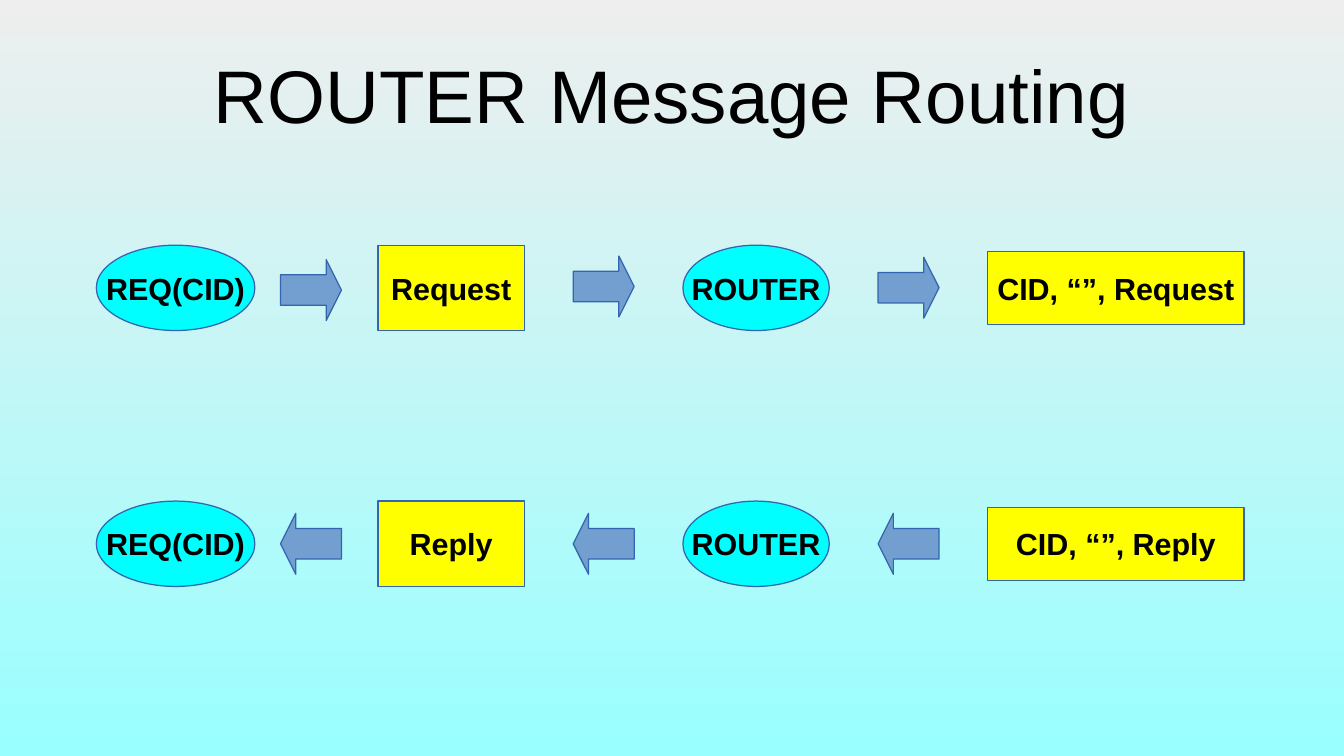
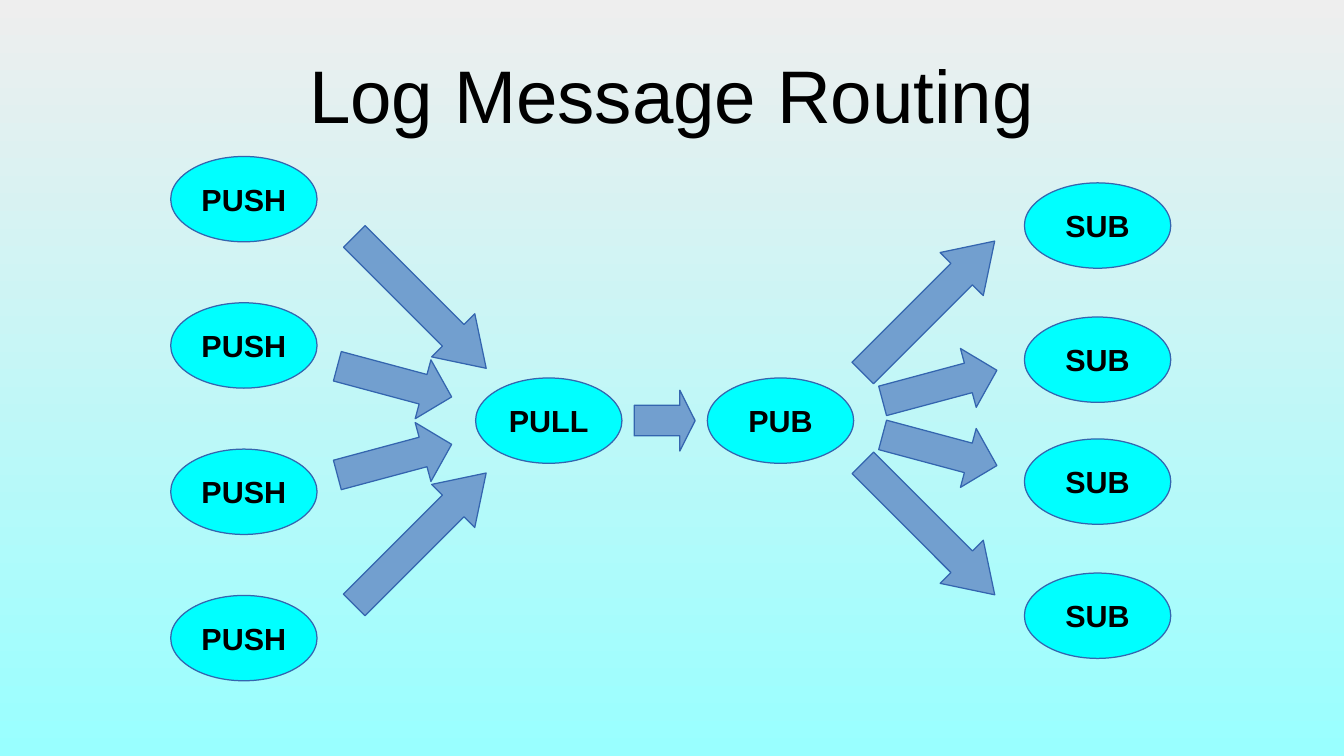
from dataclasses import dataclass

import pptx
import pptx.dml.color
import pptx.enum.shapes
import pptx.enum.text
import pptx.util

COLORS = {
    "sky_top": "EEEEEE",
    "sky_bottom": "99FFFF",
    "socket": "00FFFF",
    "message": "FFFF00",
    "arrow": "729FCF",
    "outline": "3465AF",
    "text": "000000",
}
FONT = "Arial"
SLIDE_W, SLIDE_H = 793.44, 446.4
NODE_W, NODE_H = 86.4, 50.4
CLIENT_W = 93.6
FRAMES_W, FRAMES_H = 151.2, 43.2
ARROW_H = 36
SHORT, MEDIUM, LONG = 36, 69.84, 110.16
SHAPES = pptx.enum.shapes.MSO_SHAPE


@dataclass
class Node:
    text: str
    cx: float
    cy: float
    kind: str = "socket"
    width: float = NODE_W
    height: float = NODE_H


@dataclass
class Arrow:
    cx: float
    cy: float
    length: float = SHORT
    rotation: float = 0


def rgb(name: str) -> pptx.dml.color.RGBColor:
    return pptx.dml.color.RGBColor.from_string(COLORS[name])


def set_text(sp, text: str, size: float, bold: bool) -> None:
    tf = sp.text_frame
    tf.text = text
    tf.vertical_anchor = pptx.enum.text.MSO_ANCHOR.MIDDLE
    p = tf.paragraphs[0]
    p.alignment = pptx.enum.text.PP_ALIGN.CENTER
    for r in p.runs:
        r.font.name = FONT
        r.font.size = pptx.util.Pt(size)
        r.font.bold = bold
        r.font.color.rgb = rgb("text")


def add_centred(slide, preset, cx: float, cy: float, width: float, height: float, color: str):
    box = (cx - width / 2, cy - height / 2, width, height)
    sp = slide.shapes.add_shape(preset, *map(pptx.util.Pt, box))
    sp.shadow.inherit = False
    sp.fill.solid()
    sp.fill.fore_color.rgb = rgb(color)
    sp.line.color.rgb = rgb("outline")
    sp.line.width = pptx.util.Pt(0)
    return sp


def add_node(slide, node: Node) -> None:
    preset = SHAPES.OVAL if node.kind == "socket" else SHAPES.RECTANGLE
    sp = add_centred(slide, preset, node.cx, node.cy, node.width, node.height, node.kind)
    set_text(sp, node.text, 18, True)
    sp.text_frame.word_wrap = False


def add_arrow(slide, arrow: Arrow) -> None:
    sp = add_centred(slide, SHAPES.RIGHT_ARROW, arrow.cx, arrow.cy, arrow.length, ARROW_H, "arrow")
    sp.adjustments[0] = 0.5
    sp.adjustments[1] = 0.25 * arrow.length / ARROW_H
    sp.rotation = arrow.rotation


def add_diagram(prs, title: str, nodes: list[Node], arrows: list[Arrow]) -> None:
    slide = prs.slides.add_slide(prs.slide_layouts[6])
    sp = slide.shapes.add_textbox(*map(pptx.util.Pt, (39.6, 18, 714.24, 74.88)))
    tf = sp.text_frame
    tf.word_wrap = True
    tf.margin_left = tf.margin_right = tf.margin_top = tf.margin_bottom = 0
    set_text(sp, title, 44, False)
    for node in nodes:
        add_node(slide, node)
    for arrow in arrows:
        add_arrow(slide, arrow)


def message_row(cy: float, message: str) -> list[Node]:
    return [
        Node("REQ(CID)", 103.7, cy, width=CLIENT_W),
        Node(message, 266.4, cy, "message"),
        Node("ROUTER", 446.4, cy),
        Node(f"CID, “”, {message}", 658.8, cy, "message", FRAMES_W, FRAMES_H),
    ]


def fan(cx_long: float, cx_medium: float, axis: float, outer: float, inner: float,
        direction: int) -> list[Arrow]:
    return [
        Arrow(cx, axis + side * offset, length, side * direction * angle)
        for cx, offset, length, angle in ((cx_long, outer, LONG, 45), (cx_medium, inner, MEDIUM, 15))
        for side in (-1, 1)
    ]


def add_router_slide(prs) -> None:
    request_y, reply_y = 170, 321.1
    arrow_xs = (183.6, 356.4, 536.4)
    request_arrow_ys = (171.3, 169.2, 169.9)
    arrows = [Arrow(cx, cy) for cx, cy in zip(arrow_xs, request_arrow_ys)]
    arrows += [Arrow(cx, reply_y, rotation=180) for cx in arrow_xs]
    nodes = message_row(request_y, "Request") + message_row(reply_y, "Reply")
    add_diagram(prs, "ROUTER Message Routing", nodes, arrows)


def add_log_slide(prs) -> None:
    axis = 248.4
    nodes = [Node("PUSH", 144, 117.6 + 86.4 * i) for i in range(4)]
    nodes += [Node("PULL", 324, axis), Node("PUB", 460.8, axis)]
    nodes += [Node("SUB", 648, cy) for cy in (133.2, 212.4, 284.4, 363.6)]
    arrows = [Arrow(392.4, axis)]
    arrows += fan(248.1, 232.9, axis, 69.84, 23.04, -1)
    arrows += fan(548.3, 554.8, 246.8, 65.5, 19.1, 1)
    add_diagram(prs, "Log Message Routing", nodes, arrows)


def main() -> None:
    prs = pptx.Presentation()
    prs.slide_width = pptx.util.Pt(SLIDE_W)
    prs.slide_height = pptx.util.Pt(SLIDE_H)
    fill = prs.slide_master.background.fill
    fill.gradient()
    fill.gradient_angle = 270
    for stop, name in zip(fill.gradient_stops, ("sky_top", "sky_bottom")):
        stop.color.rgb = rgb(name)
    add_router_slide(prs)
    add_log_slide(prs)
    prs.save("out.pptx")


if __name__ == "__main__":
    main()
